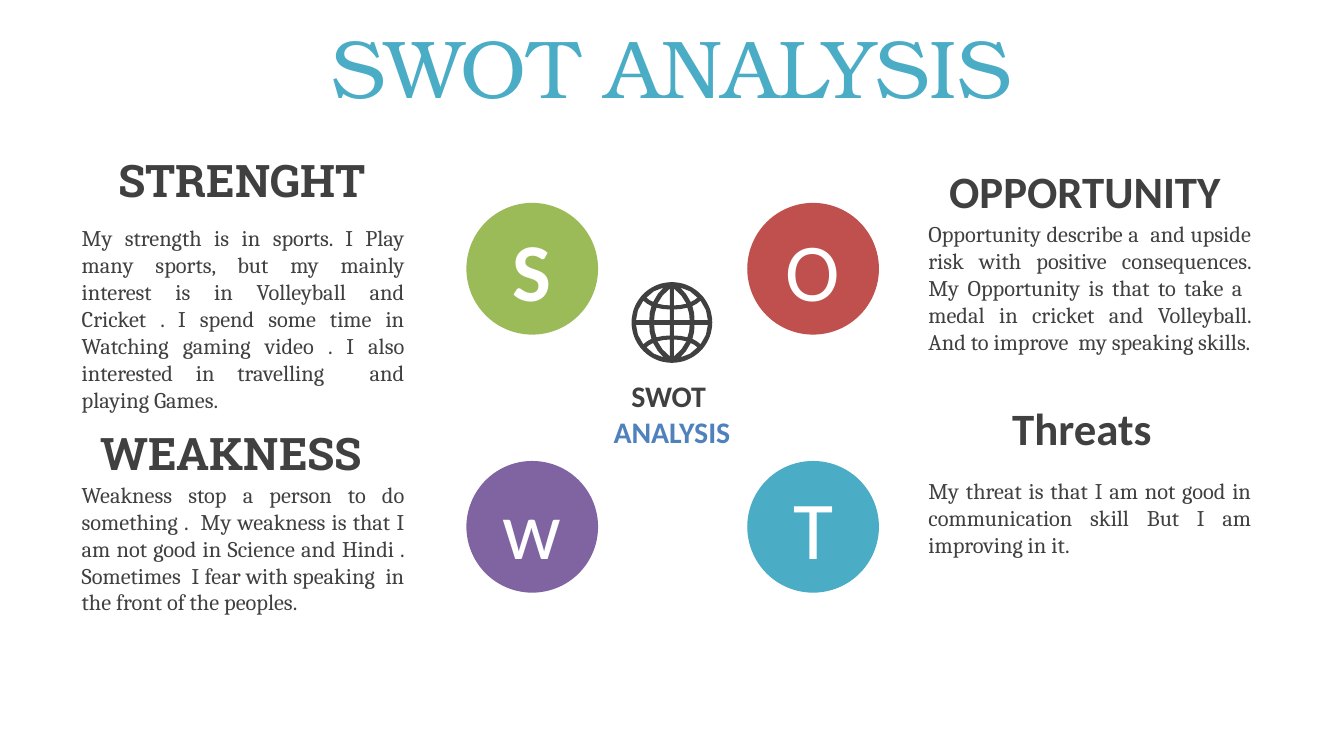
"""Build a SWOT analysis slide with four lettered circles around a globe."""
from math import cos, pi, sin

from pptx import Presentation
from pptx.dml.color import RGBColor
from pptx.enum.shapes import MSO_SHAPE
from pptx.enum.text import MSO_ANCHOR, MSO_AUTO_SIZE, PP_ALIGN
from pptx.util import Inches, Pt

THEME = {
    "ink": "404040", "white": "FFFFFF", "blue": "4F81BD", "teal": "4BACC6",
    "green": "9BBB59", "red": "C0504D", "purple": "8064A2",
    "title_font": "TeX Gyre Bonum", "slab": "Roboto Slab",
    "sans": "Calibri", "serif": "Cambria",
    "display": 44, "heading": 24, "label": 16, "body": 12,
}

TITLE = "SWOT ANALYSIS"
CENTER_LABEL = [("SWOT ", "ink"), ("ANALYSIS", "blue")]
LETTERS = [
    [("S", "green", True), ("O", "red", False)],
    [("w", "purple", False), ("T", "teal", False)],
]
CIRCLE_LEFT, CIRCLE_TOP, CIRCLE_SIZE = 3.47, 1.51, 0.98
COLUMN_STEP, ROW_STEP = 2.09, 1.92

SECTIONS = [
    {"heading": "OPPORTUNITY ", "font": "sans", "heading_at": (6.81, 1.17),
     "body_at": (6.81, 1.59), "height": 1.51,
     "body": "Opportunity describe a  and upside risk with positive consequences. "
             "My Opportunity is that to take a  medal in cricket and Volleyball. "
             "And to improve  my speaking skills."},
    {"heading": "Threats", "font": "sans", "heading_at": (6.75, 2.93),
     "body_at": (6.81, 3.5), "height": 0.91,
     "body": "My threat is that I am not good in communication skill "
             "But I am improving in it."},
    {"heading": "STRENGHT", "font": "slab", "heading_at": (0.5, 1.09),
     "body_at": (0.51, 1.62), "height": 1.51,
     "body": "My strength is in sports. I Play many sports, but my mainly interest "
             "is in Volleyball and Cricket . I spend some time in Watching gaming "
             "video . I also interested in travelling  and playing Games."},
    {"heading": "WEAKNESS", "font": "slab", "heading_at": (0.42, 3.12),
     "body_at": (0.51, 3.53), "height": 1.31,
     "body": "Weakness stop a person to do something .  My weakness is that I am "
             "not good in Science and Hindi . Sometimes  I fear with speaking  in "
             "the front of the peoples."},
]
SECTION_WIDTH, HEADING_HEIGHT = 2.6, 0.5

GLOBE_CENTER, GLOBE_RADIUS = (5, 2.4), 300
GLOBE_CELLS = [
    [(15, 18), (132, 18), (128, 65), (115, 110), (65, 100), (15, 97)],
    [(168, 18), (267, 18), (253, 92), (213, 162), (185, 140), (152, 122), (165, 70)],
    [(15, 127), (60, 130), (108, 140), (70, 200), (15, 252)],
    [(140, 153), (167, 167), (190, 185), (135, 232), (62, 260), (105, 212)],
]


def color(name):
    return RGBColor.from_string(THEME[name])


def write(tf, lines, font, size, bold=False, align=PP_ALIGN.CENTER):
    tf.word_wrap = True
    for i, (text, ink) in enumerate(lines):
        p = tf.add_paragraph() if i else tf.paragraphs[0]
        p.text = text
        p.alignment = align
        p.font.name = THEME[font]
        p.font.size = Pt(THEME[size])
        p.font.bold = bold
        p.font.color.rgb = color(ink)


def add_text(shapes, at, size, *style, **options):
    sp = shapes.add_textbox(*map(Inches, (*at, *size)))
    write(sp.text_frame, *style, **options)


def paint(sp, fill):
    sp.shadow.inherit = False
    sp.fill.solid()
    sp.fill.fore_color.rgb = color(fill)
    sp.line.fill.background()


def add_globe(shapes):
    rim = [(GLOBE_RADIUS * cos(pi * i / 36), GLOBE_RADIUS * sin(pi * i / 36))
           for i in range(72)]
    cells = [[(sx * x, sy * y) for x, y in cell]
             for sx in (1, -1) for sy in (1, -1) for cell in GLOBE_CELLS]
    builder = shapes.build_freeform(*rim[0], scale=Inches(1) / 1000)
    builder.add_line_segments(rim[1:], close=True)
    for cell in cells:
        builder.move_to(*cell[0])
        builder.add_line_segments(cell[1:], close=True)
    paint(builder.convert_to_shape(*map(Inches, GLOBE_CENTER)), "ink")


def add_circle(shapes, row, column, letter, fill, bold):
    sp = shapes.add_shape(
        MSO_SHAPE.OVAL,
        Inches(CIRCLE_LEFT + column * COLUMN_STEP),
        Inches(CIRCLE_TOP + row * ROW_STEP),
        Inches(CIRCLE_SIZE), Inches(CIRCLE_SIZE))
    paint(sp, fill)
    sp.text_frame.vertical_anchor = MSO_ANCHOR.MIDDLE
    write(sp.text_frame, [(letter, "white")], "sans", "display", bold)


def add_section(shapes, section):
    group = shapes.add_group_shape().shapes
    add_text(group, section["heading_at"], (SECTION_WIDTH, HEADING_HEIGHT),
             [(section["heading"], "ink")], section["font"], "heading", bold=True)
    add_text(group, section["body_at"], (SECTION_WIDTH, section["height"]),
             [(section["body"], "ink")], "serif", "body", align=PP_ALIGN.JUSTIFY)


def main():
    prs = Presentation()
    prs.slide_width = Inches(10)
    prs.slide_height = prs.slide_width * 9 // 16
    s = prs.slides.add_slide(prs.slide_layouts[5])
    title = s.shapes.title
    title.left, title.top, title.width, title.height = map(Inches, (0, 0, 10, 0.97))
    title.text_frame.auto_size = MSO_AUTO_SIZE.NONE
    title.text_frame.vertical_anchor = MSO_ANCHOR.MIDDLE
    write(title.text_frame, [(TITLE, "teal")], "title_font", "display")

    add_text(s.shapes, (4.11, 2.76), (1.78, 0.64), CENTER_LABEL, "sans", "label", bold=True)
    add_globe(s.shapes)
    for row, letters in enumerate(LETTERS):
        for column, circle in enumerate(letters):
            add_circle(s.shapes, row, column, *circle)
    for section in SECTIONS:
        add_section(s.shapes, section)
    prs.save("out.pptx")


if __name__ == "__main__":
    main()
